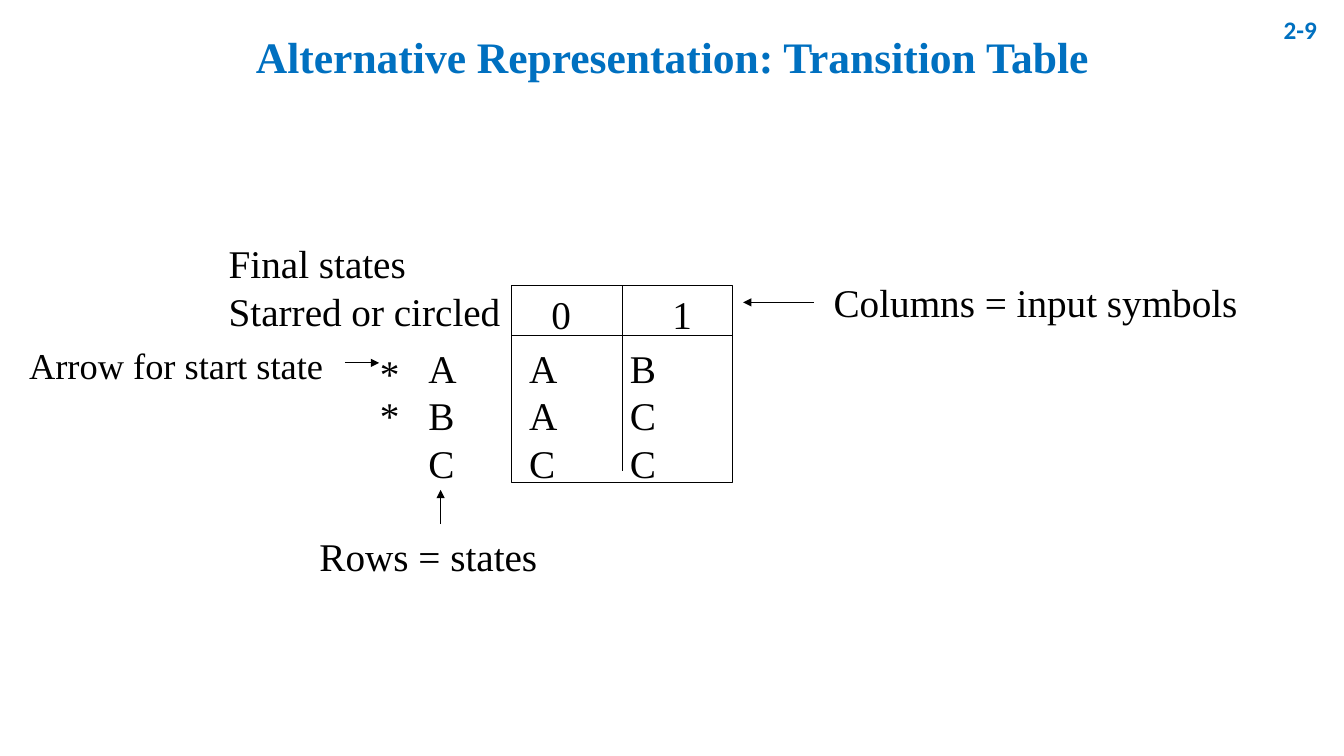
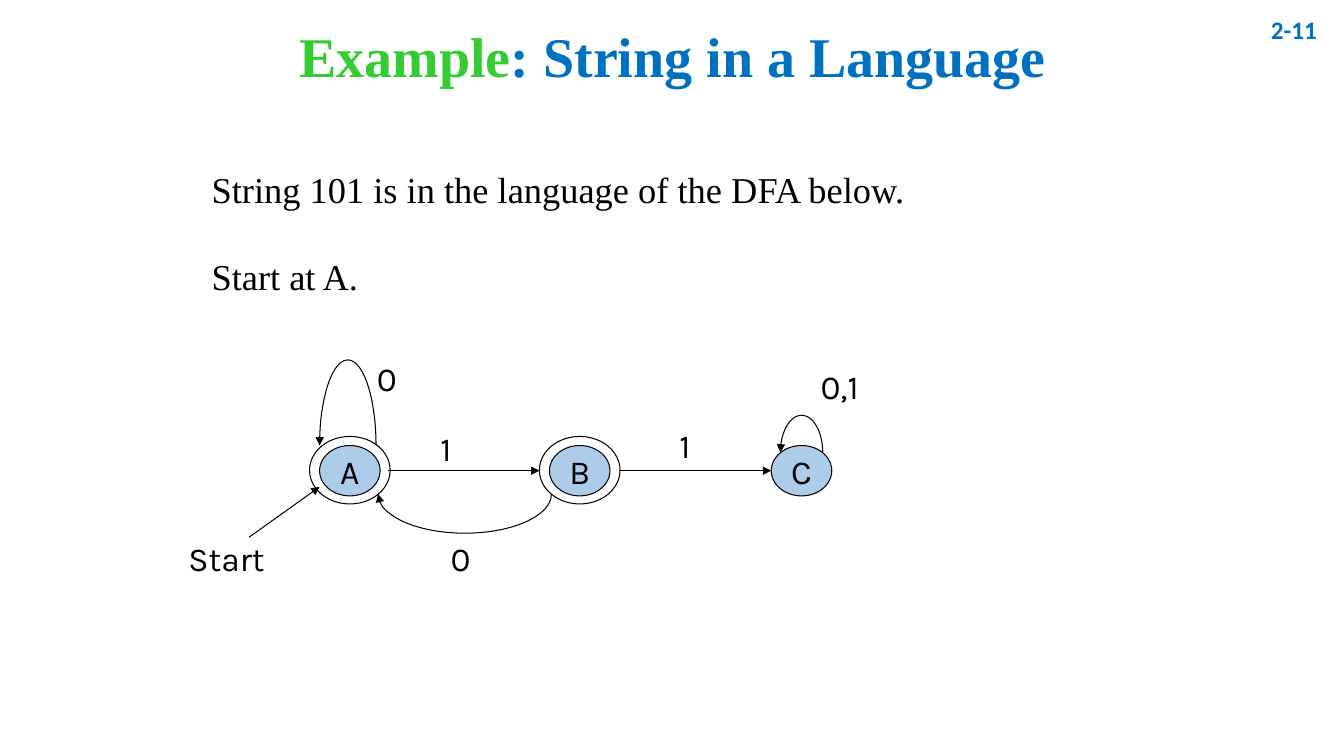
from lxml.etree import SubElement
from pptx import Presentation
from pptx.dml.color import RGBColor
from pptx.enum.shapes import MSO_CONNECTOR, MSO_SHAPE
from pptx.enum.text import MSO_ANCHOR, PP_ALIGN
from pptx.oxml.ns import qn
from pptx.util import Inches, Pt

COLOURS = {"title": "0070C0", "accent": "33CC33", "ink": "000000", "state": "5B9BD5"}
SERIF, SANS = "Times New Roman", "Karla"


def write(frame, paragraphs, size, font=SERIF, bold=False, align=PP_ALIGN.LEFT):
    """Fill a text frame; each paragraph is a list of (text, colour name) runs."""
    for index, spans in enumerate(paragraphs):
        para = frame.add_paragraph() if index else frame.paragraphs[0]
        para.alignment = align
        if "\t" in spans[0][0]:
            tabs = SubElement(para._p.get_or_add_pPr(), qn("a:tabLst"))
            for position in (1, 2):
                SubElement(tabs, qn("a:tab"), pos=str(Inches(position)), algn="l")
        for text, colour in spans:
            span = para.add_run()
            span.text = text
            span.font.name = font
            span.font.size = Pt(size)
            span.font.bold = bold
            span.font.color.rgb = RGBColor.from_string(COLOURS[colour])


def outline(shape, arrow_end=None):
    """Give a thin dark line without shadow; arrow_end is headEnd or tailEnd."""
    shape.line.color.rgb = RGBColor.from_string(COLOURS["ink"])
    shape.line.width = Pt(0.75)
    if arrow_end:
        SubElement(shape.line._get_or_add_ln(), qn("a:" + arrow_end), type="triangle")
    SubElement(shape._element.spPr, qn("a:effectLst"))


deck = Presentation()
deck.slide_width, deck.slide_height = Inches(13.33), Inches(7.5)

# Each slide: page number, title size, title runs, then
# labels as left, top, width, height, size, font, wrap, lines, and
# lines as from x, from y, to x, to y, arrowhead
slides = [
    ("2-9", 31.1, [("Alternative Representation: Transition Table", "title")], [
        (5.37, 2.83, 0.39, 0.57, 28, SERIF, False, ["0"]),
        (6.57, 2.83, 0.39, 0.57, 28, SERIF, False, ["1"]),
        (4.15, 3.37, 2.46, 1.51, 28, SERIF, False, ["A\tA\tB", "B\tA\tC", "C\tC\tC"]),
        (3.07, 5.23, 2.37, 0.57, 28, SERIF, True, ["Rows = states"]),
        (8.17, 2.71, 4.8, 0.57, 28, SERIF, True, ["Columns = input symbols"]),
        (2.17, 2.33, 2.9, 1.04, 28, SERIF, False, ["Final states", "Starred or circled"]),
        (3.67, 3.42, 0.39, 0.57, 28, SERIF, False, ["*"]),
        (3.67, 3.83, 0.39, 0.57, 28, SERIF, False, ["*"]),
        (0.19, 3.36, 3.23, 1.17, 26, SERIF, True, ["Arrow for start state"]),
    ], [
        (5.07, 3.33, 7.27, 3.33, None),
        (6.17, 2.83, 6.17, 4.67, None),
        (4.37, 5.2, 4.37, 4.86, "tailEnd"),
        (8.07, 3, 7.37, 3, "tailEnd"),
        (3.42, 3.6, 3.76, 3.6, "tailEnd"),
    ]),
    ("2-11", 40, [("Example", "accent"), (": String in a Language", "title")], [
        (2, 1.61, 8.13, 1.41, 26, SERIF, True,
         ["String 101 is in the language of the DFA below.", "Start at A."]),
        (1.77, 5.29, 1, 0.5, 24, SANS, True, ["Start"]),
        (4.27, 4.2, 0.38, 0.5, 24, SANS, False, ["1"]),
        (4.37, 5.29, 0.38, 0.5, 24, SANS, False, ["0"]),
        (6.64, 4.17, 0.38, 0.5, 24, SANS, False, ["1"]),
        (3.64, 3.5, 0.38, 0.5, 24, SANS, False, ["0"]),
        (8.04, 3.58, 0.66, 0.5, 24, SANS, False, ["0,1"]),
    ], [
        (2.47, 5.33, 3.17, 4.83, "tailEnd"),
        (3.85, 4.67, 5.35, 4.67, "tailEnd"),
        (6.15, 4.67, 7.65, 4.67, "tailEnd"),
    ]),
]

pages = []
for number, title_size, title, labels, lines in slides:
    page = deck.slides.add_slide(deck.slide_layouts[6])
    pages.append(page)

    number_box = page.shapes.add_textbox(Inches(12.27), Inches(0), Inches(0.89), Inches(0.58))
    number_box.text_frame.word_wrap = True
    number_box.text_frame.vertical_anchor = MSO_ANCHOR.MIDDLE
    write(number_box.text_frame, [[(number, "title")]], 18, "Calibri", True, PP_ALIGN.RIGHT)

    title_box = page.shapes.add_textbox(Inches(0.92), Inches(0.05), Inches(11.5), Inches(1.08))
    title_box.text_frame.word_wrap = True
    title_box.text_frame.vertical_anchor = MSO_ANCHOR.MIDDLE
    write(title_box.text_frame, [title], title_size, SERIF, True, PP_ALIGN.CENTER)
    title_box.text_frame.paragraphs[0].line_spacing = 0.9

    for left, top, width, height, size, font, wrap, texts in labels:
        box = page.shapes.add_textbox(Inches(left), Inches(top), Inches(width), Inches(height))
        box.text_frame.word_wrap = wrap
        write(box.text_frame, [[(text, "ink")] for text in texts], size, font)
        if texts[-1] == "Start at A.":
            box.text_frame.paragraphs[-1].space_before = Pt(31)

    for *ends, arrow_end in lines:
        line = page.shapes.add_connector(MSO_CONNECTOR.STRAIGHT, *map(Inches, ends))
        outline(line, arrow_end)

table_page, automaton_page = pages

# Frame around the transitions
table_border = table_page.shapes.add_shape(
    MSO_SHAPE.RECTANGLE, Inches(5.07), Inches(2.83), Inches(2.2), Inches(1.96))
table_border.fill.background()
outline(table_border)

# Automaton: states, with a ring around each accepting one
for name, left, accepting in [("A", 3.17, True), ("B", 5.45, True), ("C", 7.65, False)]:
    state = automaton_page.shapes.add_shape(
        MSO_SHAPE.OVAL, Inches(left), Inches(4.42), Inches(0.6), Inches(0.5))
    state.fill.solid()
    state.fill.fore_color.rgb = RGBColor.from_string(COLOURS["state"])
    fill_colour = state._element.spPr.find(qn("a:solidFill")).find(qn("a:srgbClr"))
    SubElement(fill_colour, qn("a:alpha"), val="50000")
    outline(state)
    state.text_frame.word_wrap = False
    state.text_frame.vertical_anchor = MSO_ANCHOR.MIDDLE
    write(state.text_frame, [[(name, "ink")]], 24, SANS, align=PP_ALIGN.CENTER)
    if accepting:
        ring = automaton_page.shapes.add_shape(
            MSO_SHAPE.OVAL, Inches(left - 0.1), Inches(4.33), Inches(0.8), Inches(0.67))
        ring.fill.background()
        outline(ring)

# Curved transitions: half ellipses that end on their left side.
# Arc adjustments count 0.6 per degree and run clockwise from the right.
for left, right, base, rise, upward in [
        (3.17, 3.73, 4.42, 0.85, True),
        (7.74, 8.16, 4.49, 0.37, True),
        (3.75, 5.47, 4.9, 0.39, False)]:
    curve = automaton_page.shapes.add_shape(
        MSO_SHAPE.ARC, Inches(left), Inches(base - rise), Inches(right - left), Inches(2 * rise))
    start, end = (180, 0) if upward else (0, 180)
    curve.adjustments[0], curve.adjustments[1] = start * 0.6, end * 0.6
    curve.fill.background()
    outline(curve, "headEnd" if upward else "tailEnd")

deck.save("out.pptx")
